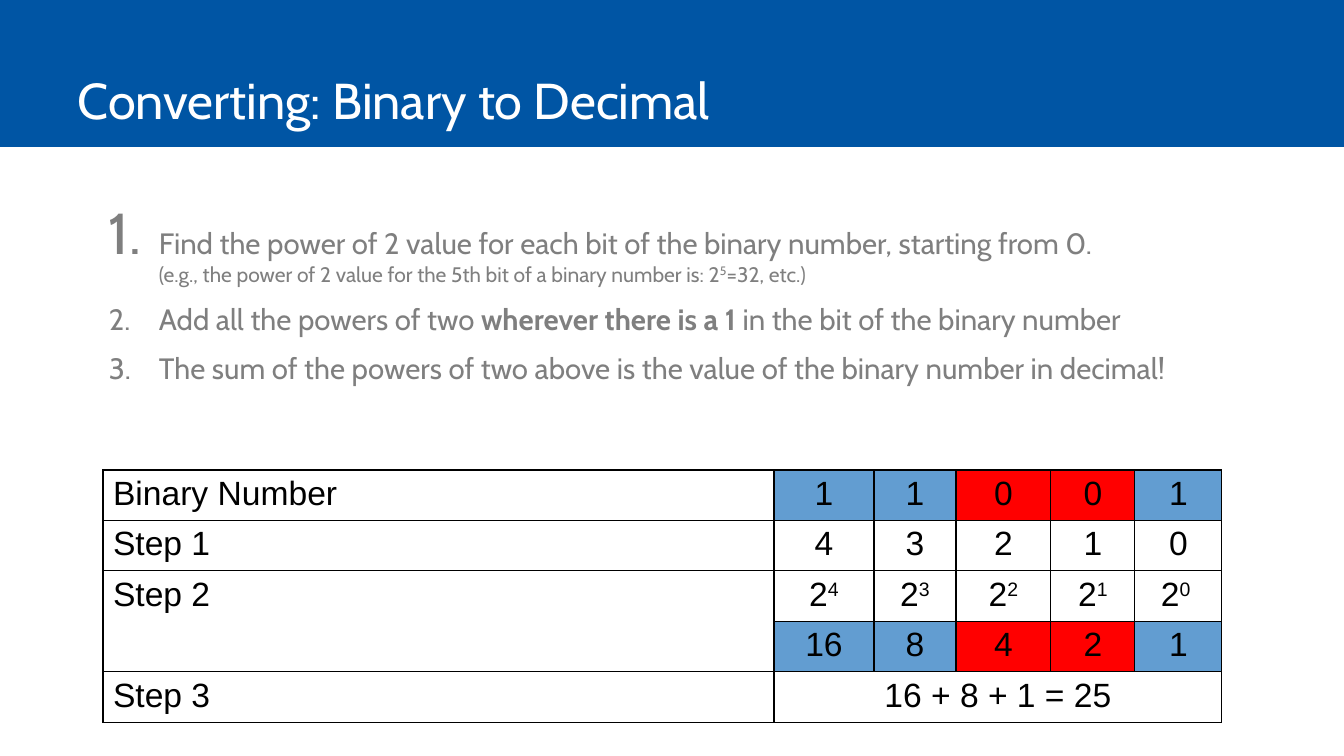
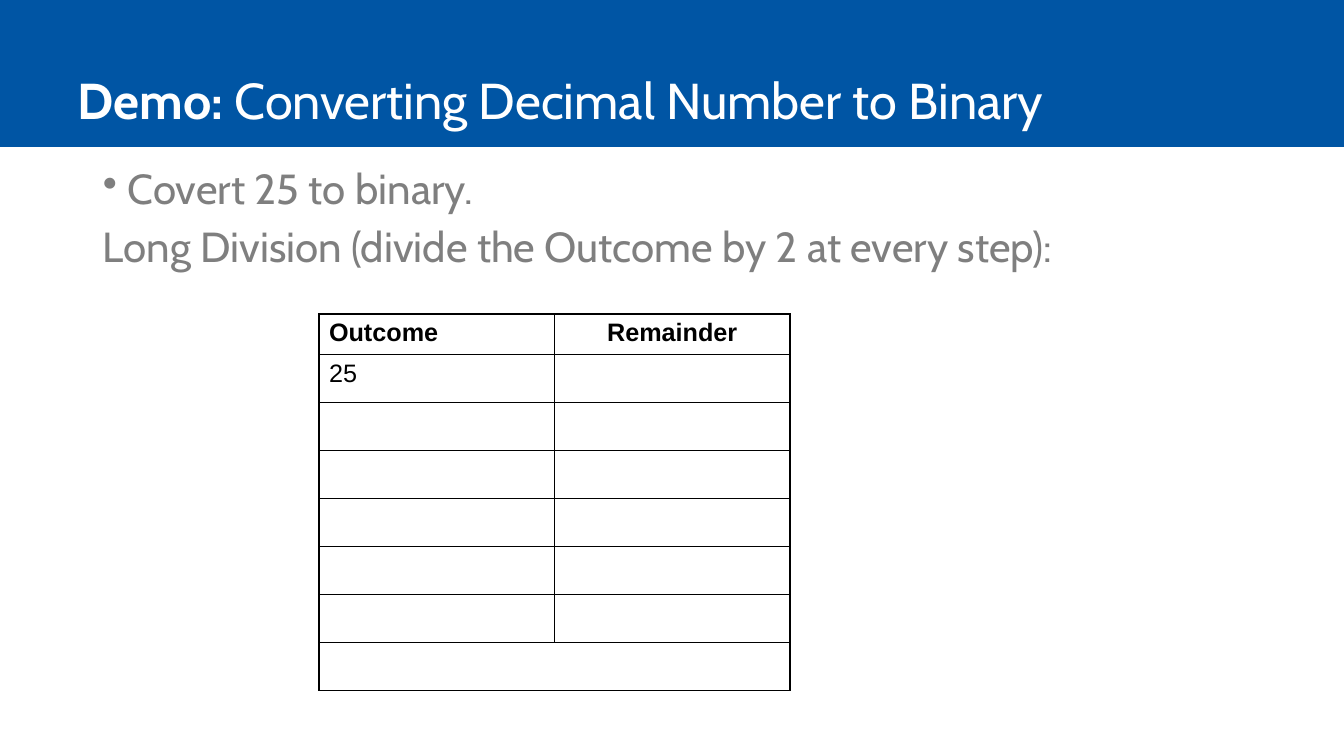
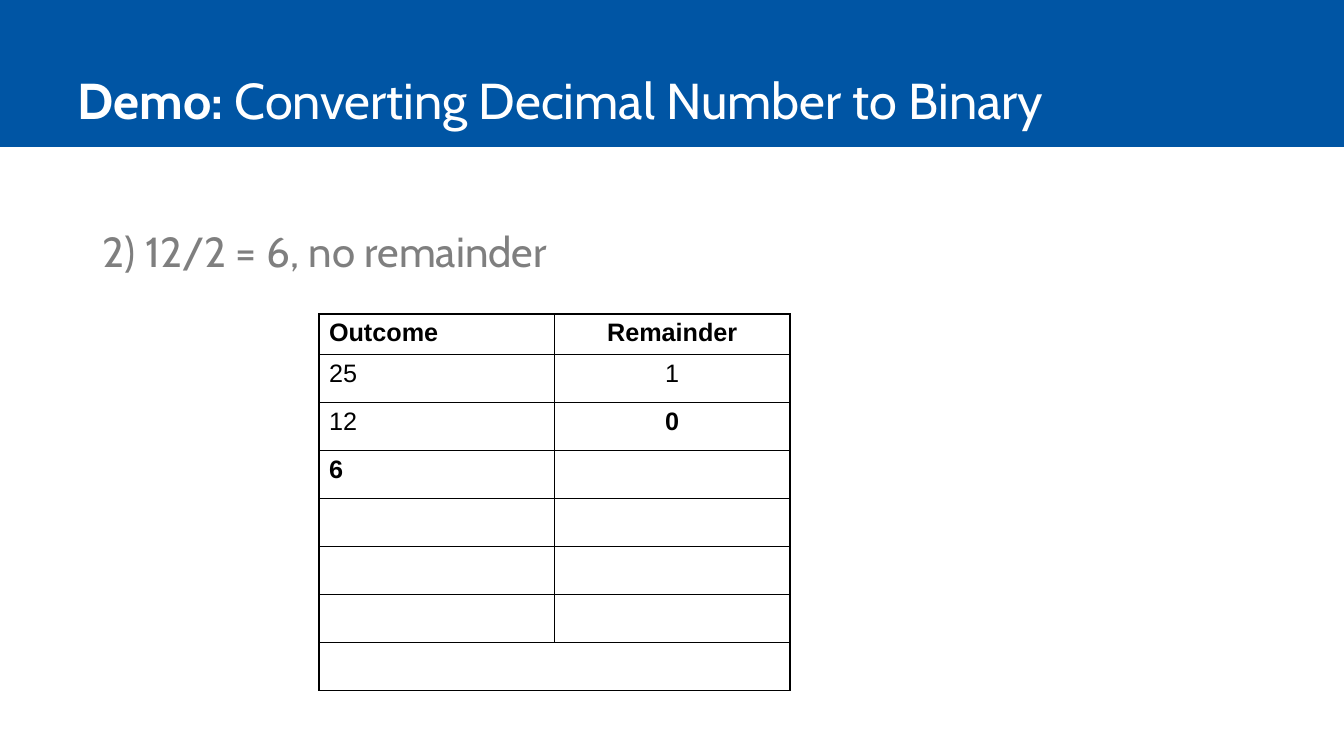
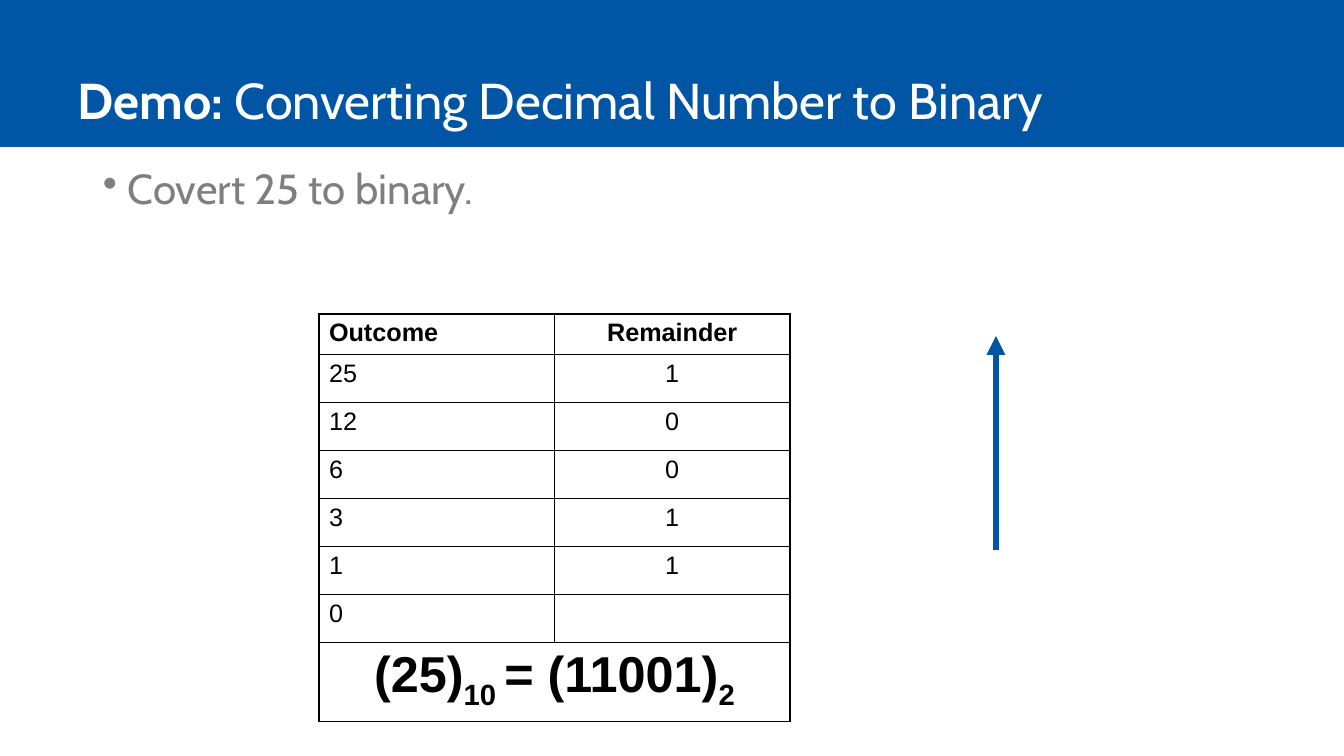
from pptx import Presentation
from pptx import util as u
from pptx.dml.color import RGBColor
from pptx.enum import shapes, text
from pptx.oxml.ns import qn
from lxml import etree

WIDE, HIGH = 1344, 756
SCALE = 914400 / 100.8

BLUE = RGBColor(0x00, 0x55, 0xA4)
SKY = RGBColor(0x62, 0x9D, 0xD1)
RED = RGBColor(0xFF, 0x00, 0x00)
GRAY = RGBColor(0x7F, 0x7F, 0x7F)
WHITE = RGBColor(0xFF, 0xFF, 0xFF)
BLACK = RGBColor(0x00, 0x00, 0x00)

HEAD = "Cabin"
PLAIN = "Arial"
LEFT, MID = text.PP_ALIGN.LEFT, text.PP_ALIGN.CENTER
DEMO = [("Demo:", {"bold": True}), " Converting Decimal Number to Binary"]
TASK = "Covert 25 to binary."


def px(n):
    return u.Emu(round(n * SCALE))


def sub(parent, tag, **attrs):
    node = etree.SubElement(parent, qn(tag))
    for key, val in attrs.items():
        node.set(key, str(val))
    return node


def bold(words):
    return words, {"bold": True}


def power(exp):
    return ["2", (exp, {"base": 30})]


def add_run(par, words, size=18, face=PLAIN, color=BLACK, bold=False, base=0):
    """Add one run; base is the percent it is raised (or lowered, below 0)."""
    run = par.add_run()
    run.text = words
    font = run.font
    font.size, font.name, font.bold = u.Pt(size), face, bold
    font.color.rgb = color
    if base:
        run._r.get_or_add_rPr().set("baseline", str(base * 1000))


def write(par, parts, **style):
    """Parts is a string, or a list of strings, (string, format) pairs and None for a line break."""
    for part in [parts] if isinstance(parts, str) else parts:
        if part is None:
            par.add_line_break()
        elif isinstance(part, str):
            add_run(par, part, **style)
        else:
            add_run(par, part[0], **{**style, **part[1]})


def mark(par, tag, indent, pct=100, **attrs):
    """Give a paragraph a bullet or number that hangs by indent."""
    props = par._p.get_or_add_pPr()
    props.set("marL", str(px(indent[0])))
    props.set("indent", str(px(indent[1])))
    sub(sub(props, "a:buClr"), "a:srgbClr", val=GRAY)
    if pct != 100:
        sub(props, "a:buSzPct", val=pct * 1000)
    sub(props, tag, **attrs)


def add_box(slide, left, top, width, height, anchor=text.MSO_ANCHOR.TOP):
    frame = slide.shapes.add_textbox(px(left), px(top), px(width), px(height)).text_frame
    frame.word_wrap = True
    frame.vertical_anchor = anchor
    return frame


def add_body(slide, top, height, items, size=30, lead=0.9):
    """Return the paragraphs, so that the caller can mark them."""
    frame = add_box(slide, 93, top, 1159, height)
    pars = []
    for item in items:
        par = frame.add_paragraph() if pars else frame.paragraphs[0]
        if pars:
            par.space_before = u.Pt(9)
        par.line_spacing = lead
        write(par, item, size=size, face=HEAD, color=GRAY)
        pars.append(par)
    return pars


def add_slide(deck, title):
    slide = deck.slides.add_slide(deck.slide_layouts[6])
    band = slide.shapes.add_shape(shapes.MSO_SHAPE.RECTANGLE, 0, 0, px(WIDE), px(147))
    band.shadow.inherit = False
    band.fill.solid()
    band.fill.fore_color.rgb = BLUE
    band.line.fill.background()
    frame = add_box(slide, 68, 0, 1184, 135, text.MSO_ANCHOR.BOTTOM)
    write(frame.paragraphs[0], title, size=36, face=HEAD, color=WHITE)
    return slide


def edge(cell):
    props = cell._tc.get_or_add_tcPr()
    for side in ("L", "R", "T", "B"):
        line = sub(props, "a:ln" + side, w=u.Pt(1))
        sub(sub(line, "a:solidFill"), "a:srgbClr", val=BLACK)


def add_grid(slide, left, top, cols, rows):
    shape = slide.shapes.add_table(len(rows), len(cols), px(left), px(top),
                                   px(sum(cols)), px(sum(rows)))
    grid = shape.table
    grid.first_row = grid.horz_banding = False
    for col, width in zip(grid.columns, cols):
        col.width = px(width)
    for row, height in zip(grid.rows, rows):
        row.height = px(height)
        for cell in row.cells:
            edge(cell)
            cell.fill.background()
    return grid


def fill_row(grid, row, items, **style):
    """Write a row of cells: the first at the left, the others centred."""
    for col, item in enumerate(items):
        par = grid.cell(row, col).text_frame.paragraphs[0]
        par.alignment = MID if col else LEFT
        write(par, item, **style)


def add_steps(slide, pairs):
    """Add the long division table, with one outcome and remainder a row."""
    grid = add_grid(slide, 319, 314, [235.5] * 2, [37] + [48] * 7)
    grid.cell(7, 0).merge(grid.cell(7, 1))
    fill_row(grid, 0, ["Outcome", "Remainder"], bold=True)
    for row, pair in enumerate(pairs, 1):
        fill_row(grid, row, pair)
    return grid


def add_task(slide, *more):
    pars = add_body(slide, 163, 517, [TASK, *more])
    mark(pars[0], "a:buChar", (25, -25), char="•")


def add_arrow(slide, x, start, end):
    line = slide.shapes.add_connector(shapes.MSO_CONNECTOR.STRAIGHT,
                                      px(x), px(start), px(x), px(end))
    line.line.color.rgb = BLUE
    line.line.width = u.Pt(4.5)
    sub(line.line._get_or_add_ln(), "a:tailEnd", type="triangle")
    sub(line._element.spPr, "a:effectLst")


def show_rules(deck):
    slide = add_slide(deck, "Converting: Binary to Decimal")
    small = {"size": 15}
    pars = add_body(slide, 218, 228, [
        ["Find the power of 2 value for each bit of the binary number, starting from 0.", None,
         ("(e.g., the power of 2 value for the 5th bit of a binary number is: 2", small),
         ("5", {"size": 15, "base": 30}), ("=32, etc.)", small)],
        ["Add all the powers of two ", bold("wherever there is a 1"),
         " in the bit of the binary number"],
        "The sum of the powers of two above is the value of the binary number in decimal!",
    ], size=21, lead=1.05)
    for par, pct in zip(pars, (196, 100, 100)):
        mark(par, "a:buAutoNum", (56, -50), pct, type="arabicPeriod")

    bits = "11001"
    grid = add_grid(slide, 103, 470, [671, 100, 82, 95, 84, 87], [47] * 5)
    grid.cell(2, 0).merge(grid.cell(3, 0))
    grid.cell(4, 1).merge(grid.cell(4, 5))
    rows = [
        ["Binary Number", *bits],
        ["Step 1", *"43210"],
        ["Step 2", *map(power, ["4", "3", "2", "1", "0 "])],
        ["", "16", "8", "4", "2", "1"],
        ["Step 3", "16 + 8 + 1 = 25"],
    ]
    for row, items in enumerate(rows):
        fill_row(grid, row, items, size=24)
    for row in (0, 3):
        for col, bit in enumerate(bits, 1):
            fill = grid.cell(row, col).fill
            fill.solid()
            fill.fore_color.rgb = SKY if bit == "1" else RED


def show_start(deck):
    slide = add_slide(deck, DEMO)
    add_task(slide, "Long Division (divide the Outcome by 2 at every step):")
    add_steps(slide, [["25"]])


def show_second(deck):
    slide = add_slide(deck, DEMO)
    add_body(slide, 226, 80, ["2) 12/2 = 6, no remainder"])
    add_steps(slide, [["25", "1"], ["12", [bold("0")]], [[bold("6")]]])


def show_result(deck):
    slide = add_slide(deck, DEMO)
    add_task(slide)
    grid = add_steps(slide, [["25", "1"], ["12", "0"], ["6", "0"],
                             ["3", "1"], ["1", "1"], ["0"]])
    low = {"base": -25}
    par = grid.cell(7, 0).text_frame.paragraphs[0]
    par.alignment = MID
    write(par, ["(25)", ("10 ", low), "= (11001)", ("2", low)], size=36, bold=True)
    add_arrow(slide, 996, 550, 336)


def main():
    deck = Presentation()
    deck.slide_width, deck.slide_height = px(WIDE), px(HIGH)
    for show in (show_rules, show_start, show_second, show_result):
        show(deck)
    deck.save("out.pptx")


if __name__ == "__main__":
    main()
